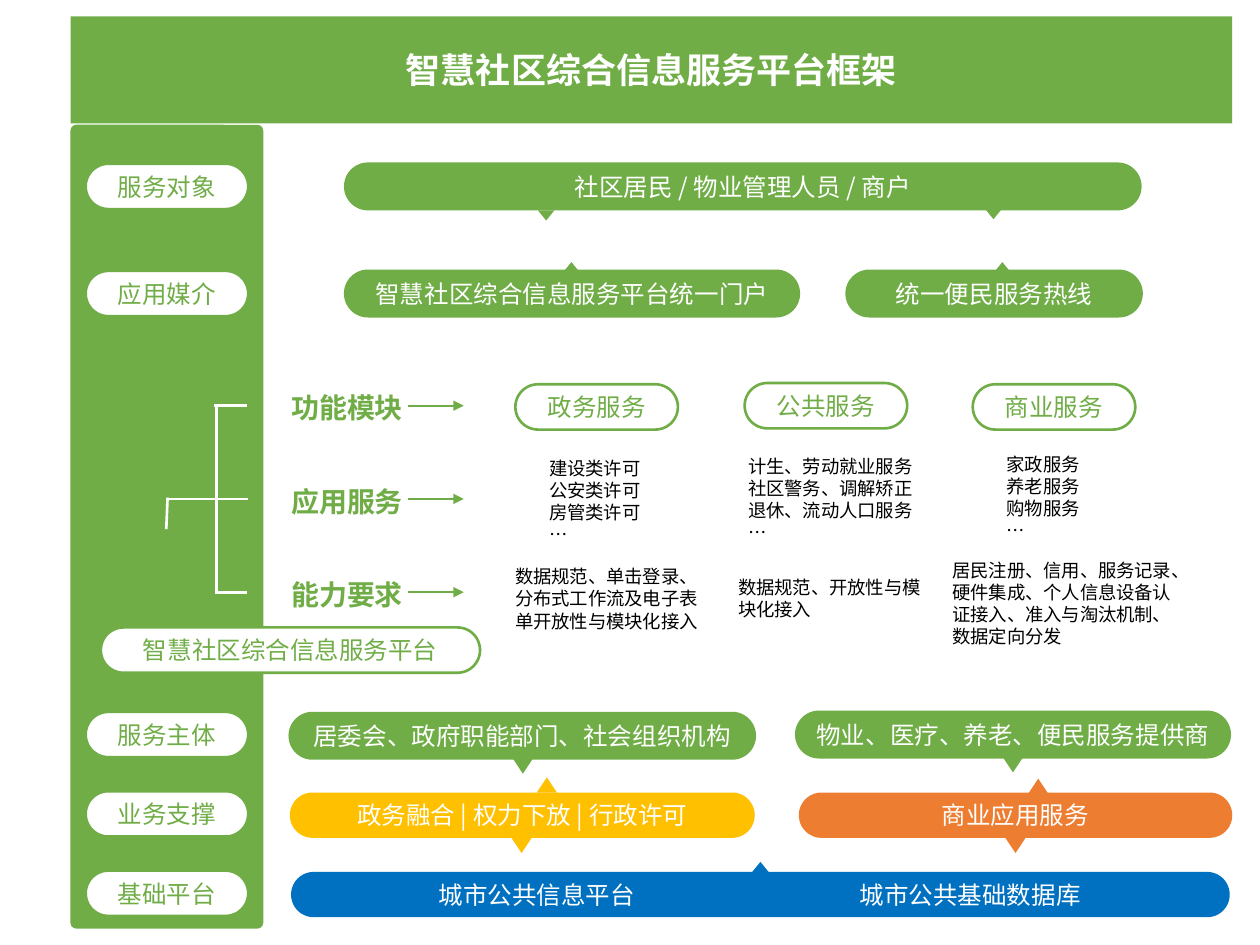
from dataclasses import dataclass
from typing import Optional

from lxml.etree import SubElement
from pptx import Presentation
from pptx.dml.color import RGBColor
from pptx.enum.shapes import MSO_CONNECTOR, MSO_SHAPE
from pptx.enum.text import MSO_ANCHOR, MSO_AUTO_SIZE, PP_ALIGN
from pptx.oxml.ns import qn
from pptx.util import Inches, Pt

FONT = "Noto Sans CJK SC"
COLORS = {
    "green": "70AD47",
    "white": "FFFFFF",
    "yellow": "FFC000",
    "orange": "ED7D31",
    "blue": "0070C0",
    "black": "000000",
}
PILL_HEIGHT = 0.36
TAG_WIDTH = 1.29


@dataclass
class Pill:
    text: str
    left: float
    top: float
    width: float = TAG_WIDTH
    fill: str = "white"
    line: Optional[str] = "green"
    color: str = "green"


@dataclass
class Pointer:
    left: float
    top: float
    fill: str = "green"
    width: float = 0.13
    height: float = 0.08
    up: bool = False


@dataclass
class Note:
    lines: list[str]
    left: float
    top: float
    width: float
    height: float


@dataclass
class Stroke:
    start: tuple[float, float]
    end: tuple[float, float]
    color: str = "white"
    width: float = 1.5
    arrow: bool = False


def rgb(name: str) -> RGBColor:
    return RGBColor.from_string(COLORS[name])


def write(frame, *lines: str, size=14, color="white", bold=False,
          align=PP_ALIGN.CENTER, anchor=MSO_ANCHOR.MIDDLE, tabs=()) -> None:
    frame.word_wrap = True
    frame.vertical_anchor = anchor
    for index, line in enumerate(lines):
        para = frame.paragraphs[0] if index == 0 else frame.add_paragraph()
        para.alignment = align
        if tabs:
            tab_list = SubElement(para._p.get_or_add_pPr(), qn("a:tabLst"))
            for position in tabs:
                SubElement(tab_list, qn("a:tab"), pos=str(Inches(position)), algn="ctr")
        span = para.add_run()
        span.text = line
        span.font.name = FONT
        span.font.size = Pt(size)
        span.font.bold = bold
        span.font.color.rgb = rgb(color)
        SubElement(span._r.get_or_add_rPr(), qn("a:ea"), typeface=FONT)


def add_box(page, kind, left, top, width, height, fill, line=None):
    box = page.shapes.add_shape(kind, Inches(left), Inches(top), Inches(width), Inches(height))
    box.shadow.inherit = False
    box.fill.solid()
    box.fill.fore_color.rgb = rgb(fill)
    if line:
        box.line.color.rgb = rgb(line)
        box.line.width = Pt(1.5)
    else:
        box.line.fill.background()
    return box


def add_pill(page, pill: Pill, **text_format) -> None:
    box = add_box(page, MSO_SHAPE.ROUNDED_RECTANGLE, pill.left, pill.top,
                  pill.width, PILL_HEIGHT, pill.fill, pill.line)
    box.adjustments[0] = 0.5
    write(box.text_frame, pill.text, color=pill.color, **text_format)


def add_pointer(page, pointer: Pointer) -> None:
    box = add_box(page, MSO_SHAPE.FLOWCHART_MERGE, pointer.left, pointer.top,
                  pointer.width, pointer.height, pointer.fill)
    box.rotation = 180 if pointer.up else 0


def add_stroke(page, stroke: Stroke) -> None:
    points = [Inches(value) for value in (*stroke.start, *stroke.end)]
    connector = page.shapes.add_connector(MSO_CONNECTOR.STRAIGHT, *points)
    connector.line.color.rgb = rgb(stroke.color)
    connector.line.width = Pt(stroke.width)
    if stroke.arrow:
        SubElement(connector.line._get_or_add_ln(), qn("a:tailEnd"), type="triangle")
    SubElement(connector._element.spPr, qn("a:effectLst"))


def add_note(page, note: Note) -> None:
    box = page.shapes.add_textbox(Inches(note.left), Inches(note.top),
                                  Inches(note.width), Inches(note.height))
    write(box.text_frame, *note.lines, size=10.5, color="black",
          align=PP_ALIGN.LEFT, anchor=MSO_ANCHOR.TOP)
    box.text_frame.auto_size = MSO_AUTO_SIZE.SHAPE_TO_FIT_TEXT


def add_title(page, text: str) -> None:
    title = page.shapes.title
    title.left, title.top = Inches(0.56), Inches(0.13)
    title.width, title.height = Inches(9.22), Inches(0.85)
    geometry = SubElement(title._element.spPr, qn("a:prstGeom"), prst="roundRect")
    guides = SubElement(geometry, qn("a:avLst"))
    SubElement(guides, qn("a:gd"), name="adj", fmla="val 5800")
    title.fill.solid()
    title.fill.fore_color.rgb = rgb("green")
    write(title.text_frame, text, size=20, bold=True)
    title.text_frame.auto_size = MSO_AUTO_SIZE.NONE


def solid(text, left, top, width, fill="green") -> Pill:
    line = "green" if fill == "green" else None
    return Pill(text, left, top, width, fill, line, "white")


TAGS = [("服务对象", 1.3), ("应用媒介", 2.15), ("服务主体", 5.65),
        ("业务支撑", 6.28), ("基础平台", 6.91)]
ROWS = ["功能模块", "应用服务", "能力要求"]
ROW_TOP, ROW_STEP = 3.01, 0.74
ROW_AXES = [3.22 + ROW_STEP * index for index in range(len(ROWS))]

PILLS = [
    solid("社区居民 / 物业管理人员 / 商户", 2.74, 1.3, 6.31),
    solid("智慧社区综合信息服务平台统一门户", 2.74, 2.15, 3.6),
    solid("统一便民服务热线", 6.72, 2.15, 2.34),
    Pill("政务服务", 4.09, 3.05),
    Pill("公共服务", 5.91, 3.04),
    Pill("商业服务", 7.72, 3.05),
    Pill("智慧社区综合信息服务平台", 0.8, 4.98, 3.01),
    solid("居委会、政府职能部门、社会组织机构", 2.3, 5.66, 3.69),
    solid("物业、医疗、养老、便民服务提供商", 6.32, 5.65, 3.44),
    solid("政务融合 | 权力下放 | 行政许可", 2.3, 6.29, 3.69, "yellow"),
    solid("商业应用服务", 6.34, 6.29, 3.44, "orange"),
]
BASE = solid("\t城市公共信息平台\t城市公共基础数据库", 2.31, 6.92, 7.45, "blue")

POINTERS = [
    Pointer(4.27, 1.67), Pointer(7.82, 1.66),
    Pointer(4.47, 2.08, up=True), Pointer(7.89, 2.08, up=True),
    Pointer(4.07, 6.02, "green", 0.16, 0.12),
    Pointer(7.96, 6.01, "green", 0.16, 0.12),
    Pointer(4.06, 6.65, "yellow", 0.16, 0.12),
    Pointer(7.98, 6.65, "orange", 0.16, 0.12),
    Pointer(4.26, 6.17, "yellow", 0.16, 0.12, up=True),
    Pointer(8.16, 6.18, "orange", 0.16, 0.12, up=True),
    Pointer(5.97, 6.84, "blue", up=True),
]
BRACKET = [
    Stroke((1.32, 4.2), (1.33, 3.95)),
    Stroke((1.32, 3.96), (1.97, 3.96)),
    Stroke((1.72, 3.22), (1.72, 4.7)),
    Stroke((1.7, 3.22), (1.96, 3.22)),
    Stroke((1.71, 4.7), (1.96, 4.7)),
]
NOTES = [
    Note(["建设类许可", "公安类许可", "房管类许可", "…"], 4.26, 3.58, 1.15, 0.81),
    Note(["计生、劳动就业服务社区警务、调解矫正", "退休、流动人口服务", "…"], 5.84, 3.56, 1.53, 0.81),
    Note(["家政服务", "养老服务", "购物服务", "…"], 7.89, 3.55, 1.15, 0.81),
    Note(["数据规范、单击登录、分布式工作流及电子表单开放性与模块化接入"], 3.99, 4.44, 1.69, 0.63),
    Note(["数据规范、开放性与模块化接入"], 5.76, 4.52, 1.69, 0.45),
    Note(["居民注册、信用、服务记录、硬件集成、个人信息设备认证接入、准入与淘汰机制、数据定向分发"],
         7.46, 4.39, 2.02, 0.81),
]


def main() -> None:
    deck = Presentation()
    deck.slide_width, deck.slide_height = Inches(10), Inches(7.5)
    page = deck.slides.add_slide(deck.slide_layouts[5])
    add_title(page, "智慧社区综合信息服务平台框架")
    sidebar = add_box(page, MSO_SHAPE.ROUNDED_RECTANGLE, 0.56, 0.99, 1.53, 6.38, "green")
    sidebar.adjustments[0] = 0.03
    for text, top in TAGS:
        add_pill(page, Pill(text, 0.68, top))
    for index, (text, axis) in enumerate(zip(ROWS, ROW_AXES)):
        label = add_box(page, MSO_SHAPE.RECTANGLE, 2.11, ROW_TOP + ROW_STEP * index, 1.29, 0.45, "white")
        write(label.text_frame, text, size=16, color="green", bold=True)
        add_stroke(page, Stroke((3.24, axis), (3.68, axis), "green", 1, arrow=True))
    for pill in PILLS:
        add_pill(page, pill)
    add_pill(page, BASE, align=PP_ALIGN.LEFT, tabs=(1.8, 5.24))
    for stroke in BRACKET:
        add_stroke(page, stroke)
    for pointer in POINTERS:
        add_pointer(page, pointer)
    for note in NOTES:
        add_note(page, note)
    deck.save("out.pptx")


if __name__ == "__main__":
    main()
